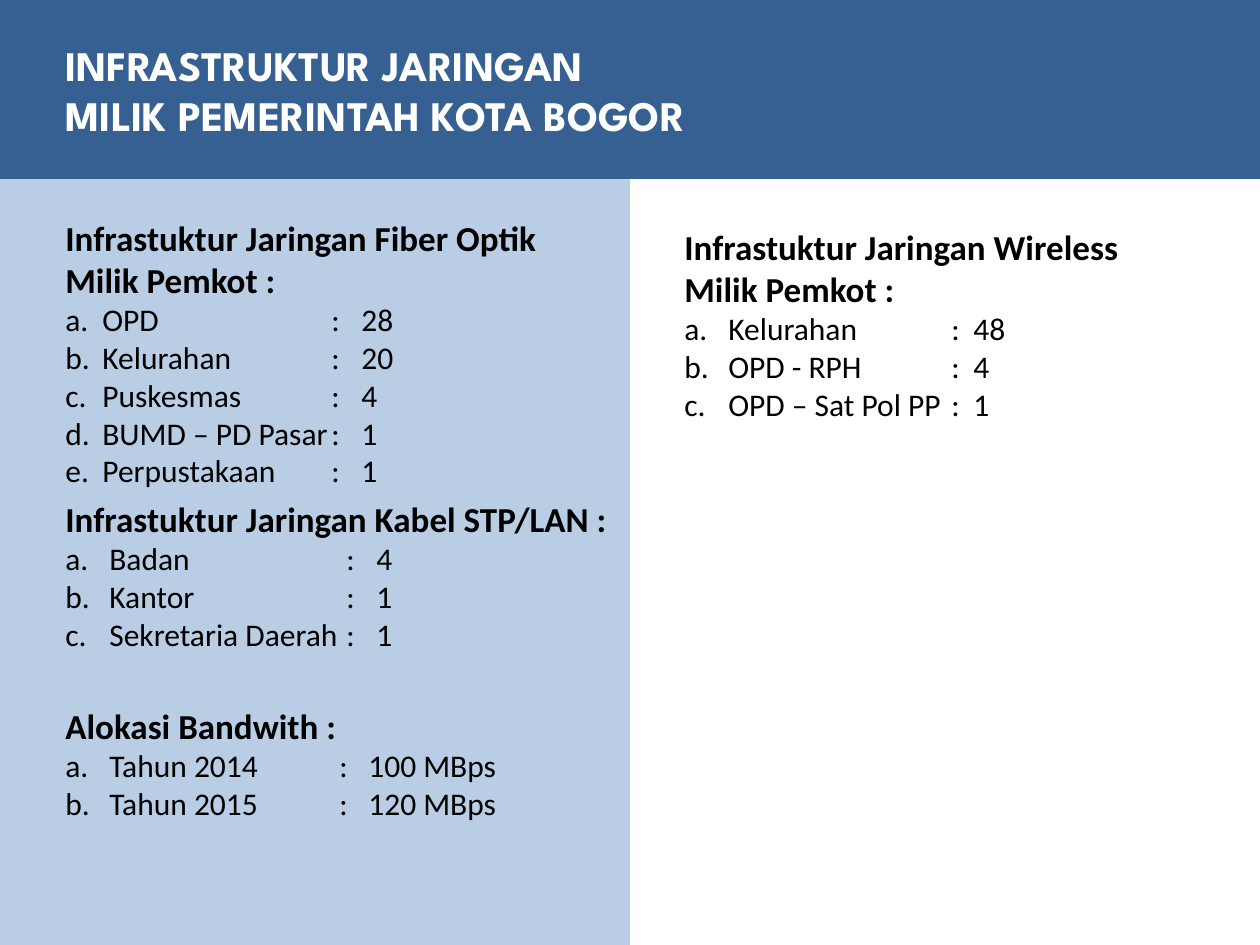
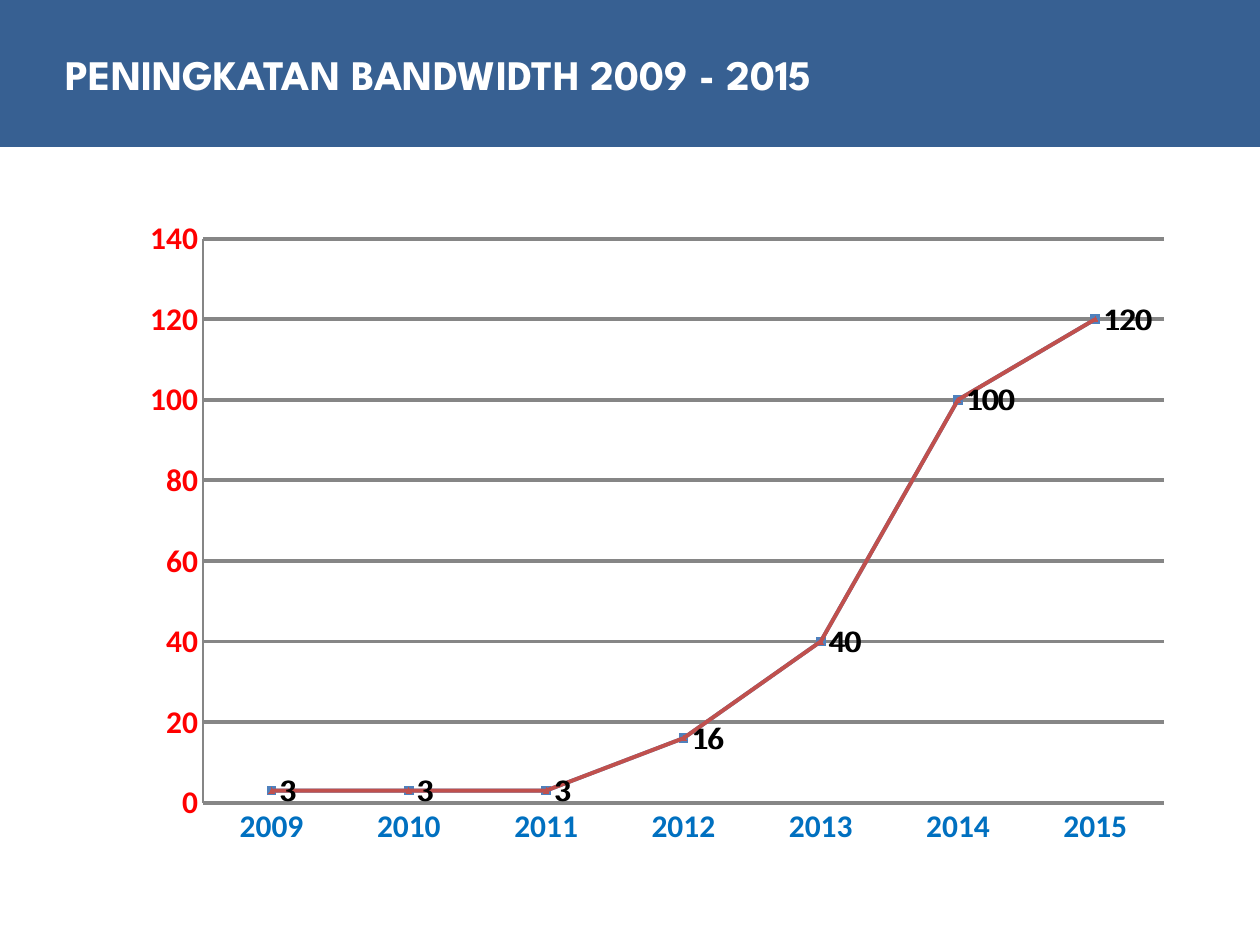
from dataclasses import dataclass

from lxml import etree
from pptx import Presentation
from pptx.chart.data import CategoryChartData
from pptx.dml.color import RGBColor
from pptx.enum.chart import XL_CHART_TYPE, XL_LABEL_POSITION, XL_MARKER_STYLE, XL_TICK_MARK
from pptx.enum.shapes import MSO_SHAPE
from pptx.enum.text import MSO_AUTO_SIZE
from pptx.oxml.ns import qn
from pptx.util import Pt

RECTANGLE = MSO_SHAPE.RECTANGLE
GROW = MSO_AUTO_SIZE.SHAPE_TO_FIT_TEXT
LINE_MARKERS = XL_CHART_TYPE.LINE_MARKERS
LABEL_RIGHT = XL_LABEL_POSITION.RIGHT
SQUARE = XL_MARKER_STYLE.SQUARE
TRIANGLE = XL_MARKER_STYLE.TRIANGLE
NO_TICK = XL_TICK_MARK.NONE
EMU_PER_PX = 914400 / 126
PAGE_WIDTH, PAGE_HEIGHT = 1260, 945


@dataclass(frozen=True)
class Theme:
    band: RGBColor = RGBColor(0x37, 0x60, 0x92)
    panel: RGBColor = RGBColor(0xB9, 0xCD, 0xE5)
    white: RGBColor = RGBColor(0xFF, 0xFF, 0xFF)
    ink: RGBColor = RGBColor(0, 0, 0)
    grid: RGBColor = RGBColor(0x86, 0x86, 0x86)
    years: RGBColor = RGBColor(0, 0x70, 0xC0)
    scale: RGBColor = RGBColor(0xFF, 0, 0)
    first_line: RGBColor = RGBColor(0x4F, 0x81, 0xBD)
    second_line: RGBColor = RGBColor(0xC0, 0x50, 0x4D)
    title_font: str = "League Spartan"
    body_font: str = "Calibri"
    title_size: int = 24
    heading_size: int = 20
    body_size: int = 18


THEME = Theme()

NETWORK_LISTS = [
    ((53, 210, 546, 289), (37, 266, 296), "Infrastuktur Jaringan Fiber Optik Milik Pemkot :",
     [("OPD", "28"), ("Kelurahan", "20"), ("Puskesmas", "4"),
      ("BUMD – PD Pasar", "1"), ("Perpustakaan", "1")]),
    ((53, 491, 599, 170), (44, 281, 311), "Infrastuktur Jaringan Kabel STP/LAN :",
     [("Badan", "4"), ("Kantor", "1"), ("Sekretaria Daerah", "1")]),
    ((53, 698, 525, 131), (44, 274, 303), "Alokasi Bandwith :",
     [("Tahun 2014", "100 MBps"), ("Tahun 2015", "120 MBps")]),
    ((672, 219, 504, 212), (44, 267, 289), "Infrastuktur Jaringan Wireless Milik Pemkot :",
     [("Kelurahan", "48"), ("OPD - RPH", "4"), ("OPD – Sat Pol PP", "1")]),
]
YEARS = [str(year) for year in range(2009, 2016)]
BANDWIDTH = [3, 3, 3, 16, 40, 100, 120]


def px(length):
    return round(length * EMU_PER_PX)


def place(box):
    return [px(length) for length in box]


def add_panel(page, box, color):
    panel = page.shapes.add_shape(RECTANGLE, *place(box))
    panel.shadow.inherit = False
    panel.fill.solid()
    panel.fill.fore_color.rgb = color
    panel.line.fill.background()


def add_text_frame(page, box):
    frame = page.shapes.add_textbox(*place(box)).text_frame
    frame.word_wrap = True
    frame.auto_size = GROW
    return frame


def next_paragraph(frame, index):
    return frame.add_paragraph() if index else frame.paragraphs[0]


def style_font(font, size, color, name=THEME.body_font, bold=False):
    font.size = Pt(size)
    font.name = name
    font.bold = bold
    font.color.rgb = color


def add_span(para, text, *style, **options):
    span = para.add_run()
    span.text = text
    style_font(span.font, *style, **options)


def add_title_band(page, band_height, title_box, lines):
    add_panel(page, (0, 0, PAGE_WIDTH, band_height), THEME.band)
    frame = add_text_frame(page, title_box)
    for index, line in enumerate(lines):
        add_span(next_paragraph(frame, index), line, THEME.title_size, THEME.white,
                 name=THEME.title_font, bold=True)


def add_tab_stops(para, stops):
    tabs = etree.SubElement(para._p.get_or_add_pPr(), qn("a:tabLst"))
    for stop in stops:
        etree.SubElement(tabs, qn("a:tab"), pos=str(px(stop)), algn="l")


def add_network_list(page, box, stops, heading, items):
    frame = add_text_frame(page, box)
    add_span(frame.paragraphs[0], heading, THEME.heading_size, THEME.ink, bold=True)
    for letter, (label, value) in zip("abcde", items):
        para = frame.add_paragraph()
        add_tab_stops(para, stops)
        add_span(para, f"{letter}.\t{label}\t:\t{value}", THEME.body_size, THEME.ink)


def set_plot_layout(chart, x, y, w, h):
    plot_area = chart.element.find(qn("c:chart")).find(qn("c:plotArea"))
    for old in plot_area.findall(qn("c:layout")):
        plot_area.remove(old)
    layout = etree.Element(qn("c:layout"))
    manual = etree.SubElement(layout, qn("c:manualLayout"))
    settings = {"layoutTarget": "inner", "xMode": "edge", "yMode": "edge",
                "x": x, "y": y, "w": w, "h": h}
    for name, value in settings.items():
        etree.SubElement(manual, qn(f"c:{name}"), val=str(value))
    plot_area.insert(0, layout)


def style_line(line, color, width):
    line.color.rgb = color
    line.width = Pt(width)


def style_axis(axis, text_color, line_width):
    axis.major_tick_mark = NO_TICK
    axis.minor_tick_mark = NO_TICK
    style_font(axis.tick_labels.font, THEME.body_size, text_color, bold=True)
    style_line(axis.format.line, THEME.grid, line_width)


def style_series(series, color, marker_style, marker_size):
    series.smooth = False
    style_line(series.format.line, color, 2.25)
    marker = series.marker
    marker.style = marker_style
    marker.size = marker_size
    marker.format.fill.solid()
    marker.format.fill.fore_color.rgb = color
    marker.format.line.color.rgb = color
    labels = series.data_labels
    labels.show_value = True
    labels.position = LABEL_RIGHT
    style_font(labels.font, THEME.body_size, THEME.ink)


def add_bandwidth_chart(page, box):
    data = CategoryChartData()
    data.categories = YEARS
    for name in ("Series 1", "Series 2"):
        data.add_series(name, BANDWIDTH)
    chart = page.shapes.add_chart(LINE_MARKERS, *place(box), data).chart
    chart.has_title = False
    chart.has_legend = False
    style_font(chart.font, THEME.body_size, THEME.ink)
    set_plot_layout(chart, 0.135, 0.042, 0.865, 0.826)
    style_axis(chart.category_axis, THEME.years, 2.25)
    scale = chart.value_axis
    style_axis(scale, THEME.scale, 0.75)
    scale.minimum_scale, scale.maximum_scale, scale.major_unit = 0, 140, 20
    scale.has_major_gridlines = True
    style_line(scale.major_gridlines.format.line, THEME.grid, 2.25)
    plot = chart.plots[0]
    plot.vary_by_categories = False
    first, second = plot.series
    style_series(first, THEME.first_line, SQUARE, 5)
    style_series(second, THEME.second_line, TRIANGLE, 3)


def build_network_page(page):
    add_panel(page, (0, 0, PAGE_WIDTH // 2, PAGE_HEIGHT), THEME.panel)
    add_title_band(page, 179, (53, 33, 1176, 115),
                   ["INFRASTRUKTUR JARINGAN", "MILIK PEMERINTAH KOTA BOGOR"])
    for network in NETWORK_LISTS:
        add_network_list(page, *network)


def build_bandwidth_page(page):
    add_title_band(page, 147, (53, 42, 851, 63), ["PENINGKATAN BANDWIDTH 2009 - 2015"])
    add_bandwidth_chart(page, (53, 210, 1113, 683))


def main():
    deck = Presentation()
    deck.slide_width, deck.slide_height = px(PAGE_WIDTH), px(PAGE_HEIGHT)
    for build in (build_network_page, build_bandwidth_page):
        build(deck.slides.add_slide(deck.slide_layouts[6]))
    deck.save("out.pptx")


if __name__ == "__main__":
    main()
